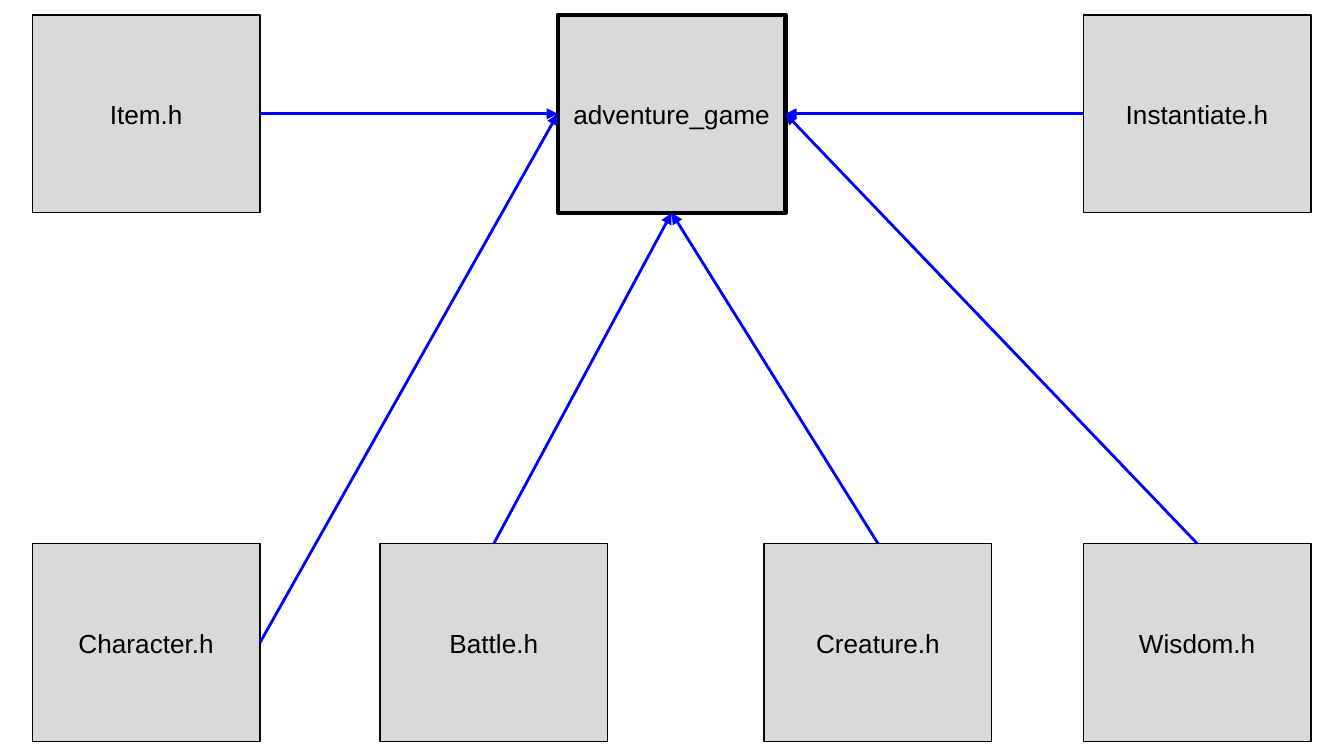
import pptx
import pptx.util
import pptx.dml.color
import pptx.enum.shapes
import pptx.enum.text
import pptx.oxml.ns
import lxml.etree
from dataclasses import dataclass

Pt = pptx.util.Pt
Color = pptx.dml.color.RGBColor.from_string


@dataclass(frozen=True)
class Theme:
    fill: str = "D9D9D9"
    ink: str = "000000"
    link: str = "0000FF"
    face: str = "Arial"
    size: float = 14
    thin: float = 0.75
    thick: float = 2.25
    stroke: float = 1.5


THEME = Theme()
WIDE = pptx.util.Inches(10)
HIGH = WIDE * 9 // 16
COL, ROW = WIDE / 100, HIGH / 100
NODE = 16.95
SPAN = 95.15
TOP, LEFT, BOTTOM, RIGHT = range(4)
HUB = "adventure_game"

STEP = (SPAN - NODE) / 2
UPPER = {"Item.h": 0, HUB: STEP, "Instantiate.h": 2 * STEP}
LOWER = {"Character.h": 0, "Battle.h": 25.87, "Creature.h": 54.45, "Wisdom.h": 2 * STEP}
LINKS = [
    ("Instantiate.h", LEFT, RIGHT),
    ("Wisdom.h", TOP, RIGHT),
    ("Battle.h", TOP, BOTTOM),
    ("Creature.h", TOP, BOTTOM),
    ("Character.h", RIGHT, LEFT),
    ("Item.h", RIGHT, LEFT),
]


def apply(item, style):
    for key, value in style.items():
        setattr(item, key, value)


def stroke(line, color, width):
    line.color.rgb = Color(color)
    line.width = Pt(width)


def add_node(slide, box, name):
    left, top, wide, high = box
    node = slide.shapes.add_shape(
        pptx.enum.shapes.MSO_SHAPE.RECTANGLE,
        round(left * COL), round(top * ROW), round(wide * COL), round(high * ROW))
    node.shadow.inherit = False
    node.fill.solid()
    node.fill.fore_color.rgb = Color(THEME.fill)
    stroke(node.line, THEME.ink, THEME.thick if name == HUB else THEME.thin)
    frame = node.text_frame
    inset = pptx.util.Inches(0.1)
    apply(frame, {
        "word_wrap": True,
        "vertical_anchor": pptx.enum.text.MSO_ANCHOR.MIDDLE,
        "margin_left": inset, "margin_right": inset,
        "margin_top": inset, "margin_bottom": inset,
    })
    para = frame.paragraphs[0]
    para.alignment = pptx.enum.text.PP_ALIGN.CENTER
    run = para.add_run()
    run.text = name
    apply(run.font, {"name": THEME.face, "size": Pt(THEME.size)})
    run.font.color.rgb = Color(THEME.ink)
    return node


def add_band(slide, box, names):
    left, top, wide, high = box
    return {
        name: add_node(slide, (left + shift * wide / SPAN, top, NODE * wide / SPAN, high), name)
        for name, shift in names.items()
    }


def add_link(slide, start, out, end, into):
    link = slide.shapes.add_connector(
        pptx.enum.shapes.MSO_CONNECTOR.STRAIGHT, 0, 0, 0, 0)
    link.begin_connect(start, out)
    link.end_connect(end, into)
    stroke(link.line, THEME.link, THEME.stroke)
    qn = pptx.oxml.ns.qn
    tail = lxml.etree.SubElement(link.line._get_or_add_ln(), qn("a:tailEnd"))
    tail.set("type", "triangle")
    lxml.etree.SubElement(link._element.spPr, qn("a:effectLst"))


def main():
    deck = pptx.Presentation()
    apply(deck, {"slide_width": WIDE, "slide_height": HIGH})
    slide = deck.slides.add_slide(deck.slide_layouts[6])
    nodes = add_band(slide, (2.4, 1.96, SPAN, 26.2), UPPER)
    nodes.update(add_band(slide, (2.4, 71.9, SPAN, 26.2), LOWER))
    for name, out, into in LINKS:
        add_link(slide, nodes[name], out, nodes[HUB], into)
    deck.save("out.pptx")


if __name__ == "__main__":
    main()
